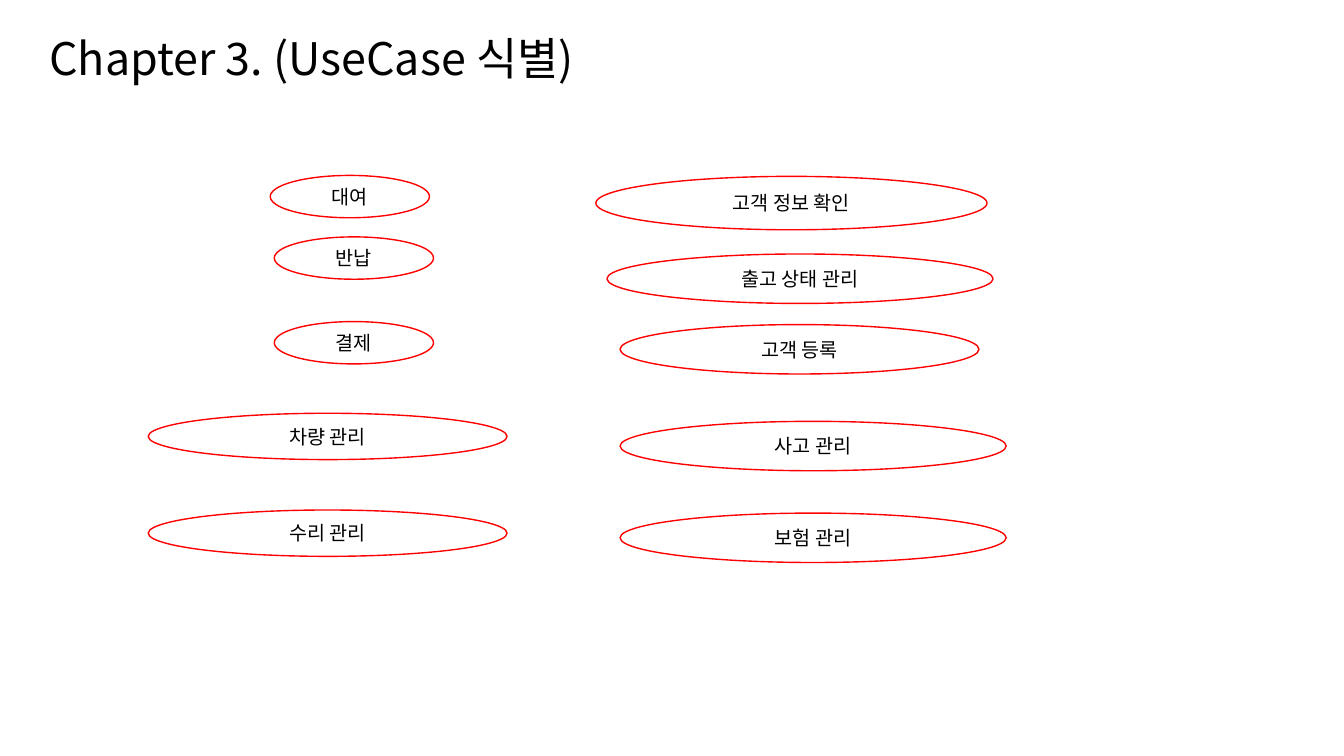
from pptx import Presentation
from pptx.dml.color import RGBColor
from pptx.enum.shapes import MSO_SHAPE
from pptx.enum.text import MSO_ANCHOR, PP_ALIGN
from pptx.util import Inches, Pt
from lxml import etree

OVAL = MSO_SHAPE.OVAL
MIDDLE = MSO_ANCHOR.MIDDLE
CENTER, LEFT = PP_ALIGN.CENTER, PP_ALIGN.LEFT
BLACK = RGBColor(0, 0, 0)
RED = RGBColor(255, 0, 0)
FONT = "Noto Sans CJK KR"
A = "{http://schemas.openxmlformats.org/drawingml/2006/main}"

deck = Presentation()
deck.slide_width, deck.slide_height = Inches(13.33), Inches(7.5)
slide = deck.slides.add_slide(deck.slide_layouts[6])


def write(holder, wording, size, align):
    frame = holder.text_frame
    frame.word_wrap = True
    frame.vertical_anchor = MIDDLE
    line = frame.paragraphs[0]
    line.alignment = align
    run = line.add_run()
    run.text = wording
    run.font.size = Pt(size)
    run.font.name = FONT
    run.font.color.rgb = BLACK
    # Hangul takes the East Asian typeface
    etree.SubElement(run.font._element, A + "ea", typeface=FONT)
    return line


# Chapter title
title = slide.shapes.add_textbox(Inches(0.39), Inches(0.19), Inches(11.5), Inches(0.84))
write(title, "Chapter 3. (UseCase 식별)", 32, LEFT).line_spacing = 0.9

# Use cases by oval size: (width, height), then (name, left, top)
use_cases = {
    (1.58, 0.42): [("대여", 2.68, 1.74), ("반납", 2.72, 2.35), ("결제", 2.72, 3.19)],
    (3.56, 0.46): [("차량 관리", 1.47, 4.1), ("수리 관리", 1.47, 5.06)],
    (3.88, 0.53): [("고객 정보 확인", 5.91, 1.75)],
    (3.56, 0.49): [("고객 등록", 6.15, 3.22)],
    (3.83, 0.49): [("출고 상태 관리", 6.02, 2.52), ("사고 관리", 6.15, 4.18),
                   ("보험 관리", 6.15, 5.09)],
}
for (width, height), cases in use_cases.items():
    for name, left, top in cases:
        use_case = slide.shapes.add_shape(
            OVAL, Inches(left), Inches(top), Inches(width), Inches(height))
        use_case.shadow.inherit = False
        use_case.fill.background()
        use_case.line.color.rgb = RED
        use_case.line.width = Pt(1)
        write(use_case, name, 14, CENTER)

deck.save("out.pptx")
